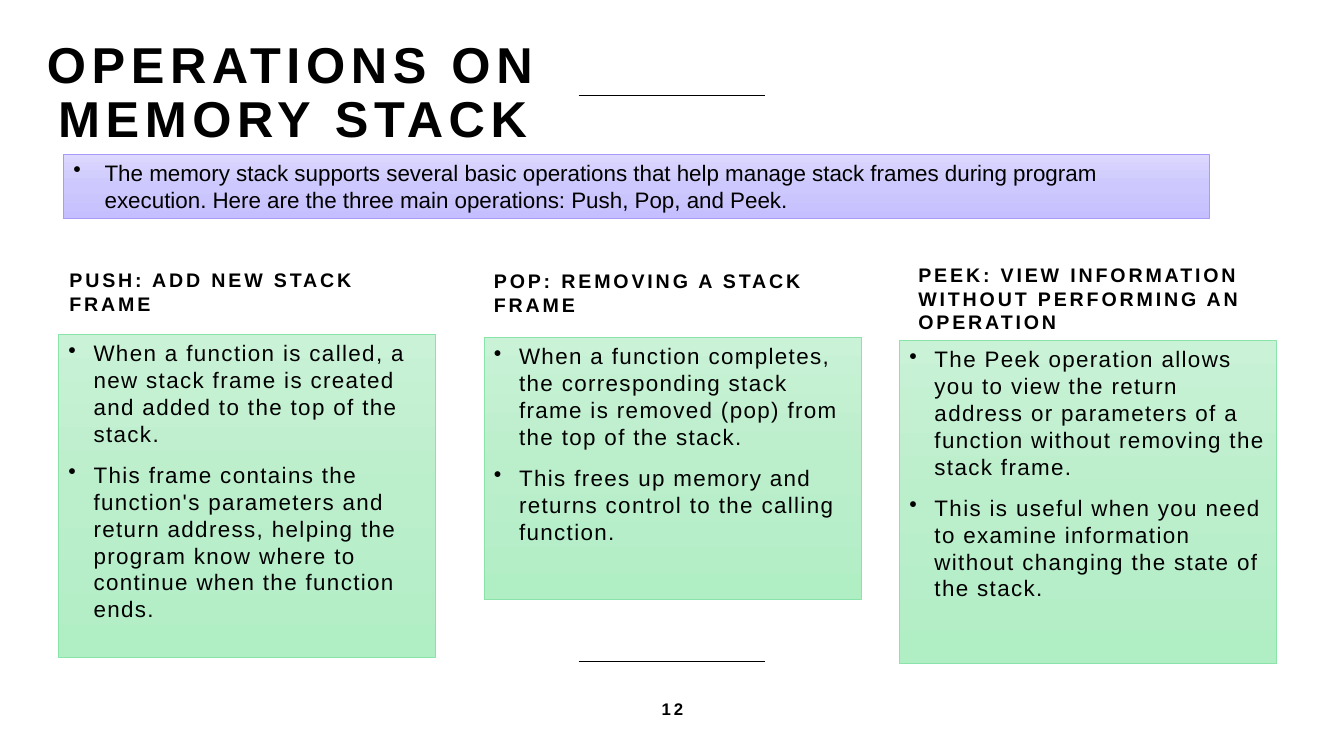
from copy import deepcopy

from lxml.etree import SubElement as Sub
from pptx import Presentation
from pptx.dml.color import RGBColor as Rgb
from pptx.enum.shapes import MSO_CONNECTOR as Conn, MSO_SHAPE as Kind
from pptx.enum.text import MSO_ANCHOR as Anchor, PP_ALIGN as Align
from pptx.oxml.ns import qn
from pptx.util import Inches, Pt

GREEN = ("C9F2D6", "BBEECB", "B0EEC4"), "8AE3A8"
VIOLET = ("DCD8FE", "CDC8FD", "C6BFFF"), "A69BFB"

INTRO = (
    "The memory stack supports several basic operations that help manage "
    "stack frames during program execution. Here are the three main "
    "operations: Push, Pop, and Peek."
)

# Heading text and place, then box place and bullet texts
COLUMNS = [
    ("PUSH: ADD NEW STACK FRAME", (0.59, 2.61, 3.74, 0.71),
     (0.58, 3.32, 3.74, 3.2),
     ["When a function is called, a new stack frame is created and added "
      "to the top of the stack.",
      "This frame contains the function's parameters and return address, "
      "helping the program know where to continue when the function ends."]),
    ("POP: REMOVING A STACK FRAME", (4.8, 2.62, 3.74, 0.64),
     (4.8, 3.35, 3.74, 2.6),
     ["When a function completes, the corresponding stack frame is removed "
      "(pop) from the top of the stack.",
      "This frees up memory and returns control to the calling function."]),
    ("PEEK: VIEW INFORMATION WITHOUT PERFORMING AN OPERATION",
     (9.01, 2.56, 3.74, 0.4), (8.92, 3.38, 3.74, 3.2),
     ["The Peek operation allows you to view the return address or "
      "parameters of a function without removing the stack frame.",
      "This is useful when you need to examine information without changing "
      "the state of the stack."]),
]


def color(code):
    return Rgb.from_string(code)


def write(frame, texts, size, bold=False, track=0, gap=0, align=Align.LEFT,
          anchor=Anchor.TOP, indent=0):
    """Fill a frame; track is letter spacing in points, indent adds bullets."""
    frame.word_wrap = True
    frame.vertical_anchor = anchor
    for i, text in enumerate(texts):
        para = frame.add_paragraph() if i else frame.paragraphs[0]
        run = para.add_run()
        run.text = text
        run.font._element.set("spc", str(track * 100))
        para.alignment = align
        para.space_before = Pt(gap)
        font = para.font
        font.name, font.size, font.bold = "Arial", Pt(size), bold
        font.color.rgb = color("000000")
        if indent:
            add_bullet(para, indent)


def add_bullet(para, indent):
    props = para._p.get_or_add_pPr()
    props.set("marL", str(Inches(indent)))
    props.set("indent", str(-Inches(indent)))
    mark = Sub(props, qn("a:buChar"), char="•")
    props.find(qn("a:defRPr")).addprevious(mark)


def add_text(slide, place, text, size, **style):
    box = slide.shapes.add_textbox(*map(Inches, place))
    write(box.text_frame, [text], size, **style)
    return box


def add_panel(slide, place, theme, texts, **style):
    """Draw a bulleted box with a three-stop vertical gradient."""
    stops, edge = theme
    box = slide.shapes.add_shape(Kind.RECTANGLE, *map(Inches, place))
    box.shadow.inherit = False
    box.line.color.rgb = color(edge)
    box.line.width = Pt(0.5)
    fill = box.fill
    fill.gradient()
    fill.gradient_angle = 270
    group = box._element.spPr.find(".//" + qn("a:gsLst"))
    group.append(deepcopy(group[-1]))
    for i, (stop, code) in enumerate(zip(fill.gradient_stops, stops)):
        stop.position = i / 2
        stop.color.rgb = color(code)
    write(box.text_frame, texts, 16, **style)


def add_rule(slide, top):
    left, right, top = Inches(5.74), Inches(7.59), Inches(top)
    rule = slide.shapes.add_connector(Conn.STRAIGHT, left, top, right, top)
    rule.line.color.rgb = color("000000")
    rule.line.width = Pt(1)
    Sub(rule._element.spPr, qn("a:effectLst"))


def main():
    deck = Presentation()
    deck.slide_width, deck.slide_height = Inches(13.33), Inches(7.5)
    slide = deck.slides.add_slide(deck.slide_layouts[6])

    for top in (0.95, 6.56):
        add_rule(slide, top)

    title = add_text(slide, (-0.47, -0.58, 6.75, 2.83),
                     "OPERATIONS ON MEMORY STACK", 36, bold=True, track=4,
                     align=Align.CENTER, anchor=Anchor.MIDDLE).text_frame
    title.margin_top, title.margin_bottom = Inches(0.2), 0
    title.paragraphs[0].line_spacing = 0.9

    for head, spot, place, points in COLUMNS:
        add_text(slide, spot, head, 14, bold=True, track=2, gap=10)
        add_panel(slide, place, GREEN, points, track=1, gap=10, indent=0.25)

    add_text(slide, (4.42, 6.57, 4.5, 0.93), "12", 12, bold=True, track=2,
             align=Align.CENTER, anchor=Anchor.MIDDLE)
    add_panel(slide, (0.63, 1.53, 11.37, 0.64), VIOLET, [INTRO], indent=0.31)

    deck.save("out.pptx")


if __name__ == "__main__":
    main()
